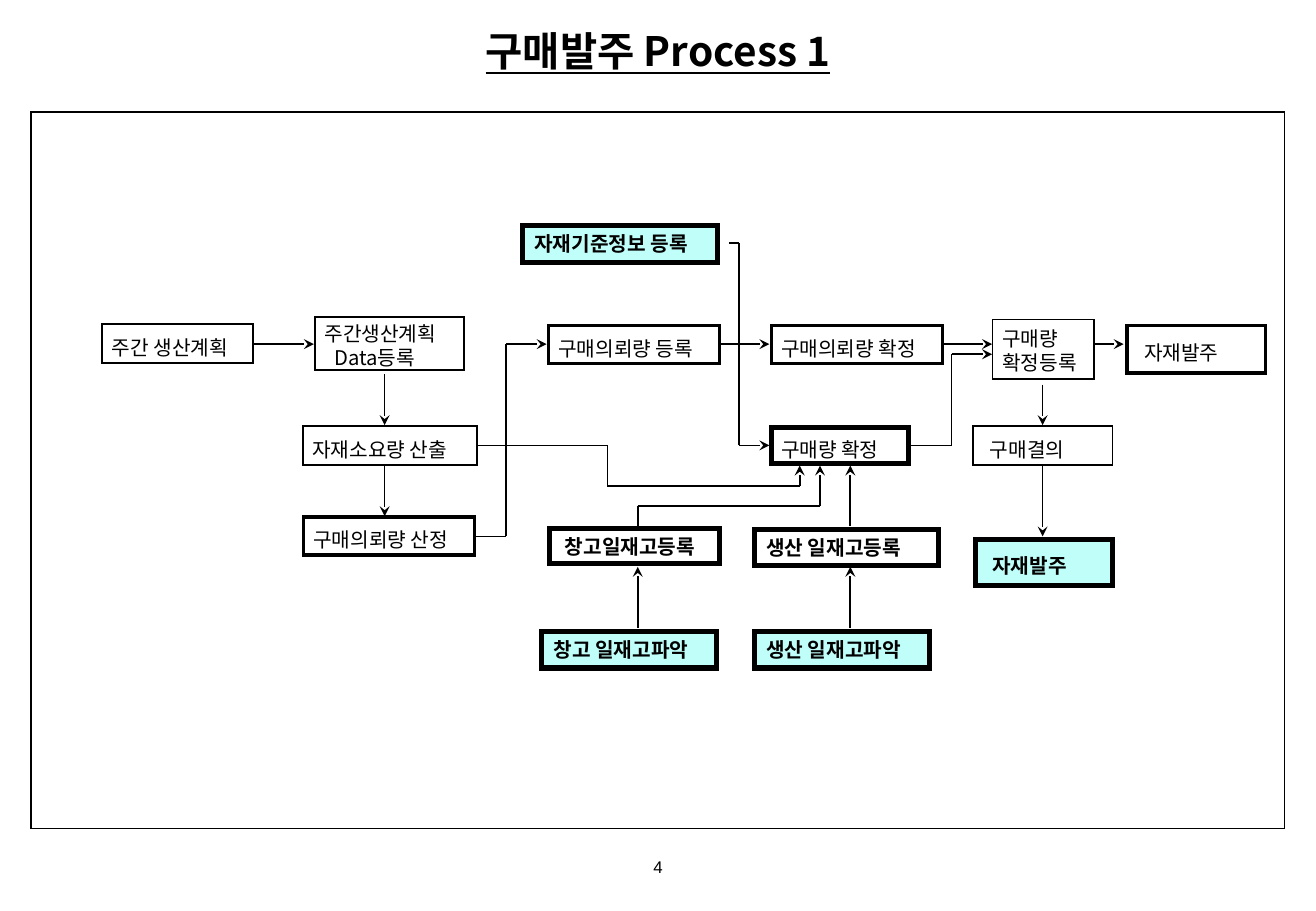
from collections import namedtuple
from itertools import pairwise

from lxml import etree
from pptx import Presentation
from pptx import util as u
from pptx.dml.color import RGBColor
from pptx.enum import shapes, text
from pptx.oxml.ns import qn

COLUMNS, ROWS = 130, 90
KOREAN, LATIN = "Noto Sans CJK KR", "Arial"
BLACK, WHITE, AQUA = "000000", "FFFFFF", "C0FEF9"
PLAIN, BOLD = (0.08, 0.06), (0.1, 0)
INDENTED, BOLD_INDENTED = (0.14, 0.06), (0.14, 0.04)

Box = namedtuple("Box", "left top width height")
Step = namedtuple("Step", "label cells line_width fill bold insets")

STEPS = [
    Step("주간 생산계획", (10.1, 32, 14.9, 3.85), 1, WHITE, False, PLAIN),
    Step("주간생산계획\nData등록", (31.1, 31.3, 14.75, 5.25), 1, WHITE, False, (0.08, 0.03)),
    Step("자재소요량 산출", (29.9, 42.1, 17.2, 3.85), 1, WHITE, False, PLAIN),
    Step("구매의뢰량 산정", (30, 51.1, 16.9, 3.75), 2, WHITE, False, PLAIN),
    Step("구매의뢰량 등록", (54.2, 32.15, 16.9, 3.75), 2, WHITE, False, PLAIN),
    Step("구매의뢰량 확정", (76.2, 32.15, 16.9, 3.75), 2, WHITE, False, PLAIN),
    Step("구매량\n확정등록", (98.05, 31.55, 10, 5.9), 1, WHITE, False, (0.08, 0.02)),
    Step("구매량 확정", (76.2, 42.25, 13.55, 3.5), 3, WHITE, False, PLAIN),
    Step("창고일재고등록", (54.25, 52.2, 16.8, 3.5), 3, WHITE, True, (0.13, 0)),
    Step("창고 일재고파악", (53.5, 62.4, 17.3, 3.6), 3, AQUA, True, BOLD),
    Step("생산 일재고등록", (74.5, 52.3, 18.25, 3.6), 3, WHITE, True, BOLD),
    Step("생산 일재고파악", (74.5, 62.4, 17.3, 3.6), 3, AQUA, True, BOLD),
    Step("구매결의", (96.1, 42.1, 13.8, 3.85), 1, WHITE, False, INDENTED),
    Step("자재발주", (96.35, 53.3, 13.55, 4.55), 3, AQUA, True, BOLD_INDENTED),
    Step("자재기준정보 등록", (51.6, 22.3, 19.3, 3.6), 3, AQUA, True, BOLD),
    Step("자재발주", (111.35, 32.15, 13.7, 4.7), 2, WHITE, False, INDENTED),
]

ROUTES = [
    [(25, 34), (31, 34)],
    [(38, 37), (38, 42)],
    [(38, 46), (38, 51)],
    [(47, 53), (50, 53), (50, 34), (54, 34)],
    [(71, 34), (76, 34)],
    [(93, 34), (98, 34)],
    [(103, 38), (103, 42)],
    [(103, 46), (103, 53)],
    [(63, 62), (63, 56)],
    [(84, 62), (84, 56)],
    [(84, 52), (84, 46)],
    [(63, 52), (63, 50), (81, 50), (81, 46)],
    [(72, 24), (73, 24), (73, 44), (76, 44)],
    [(90, 44), (94, 44), (94, 35), (98, 35)],
    [(47, 44), (60, 44), (60, 48), (79, 48), (79, 46)],
    [(108, 34), (111, 34)],
]


def color(value):
    """Turn a hex string into a colour."""
    return RGBColor.from_string(value)


def place(box, left, top, width=0, height=0):
    """Turn grid cells inside a box into slide lengths."""
    column, row = box.width / COLUMNS, box.height / ROWS
    return Box(int(box.left + left * column), int(box.top + top * row),
               int(width * column), int(height * row))


def add_run(paragraph, words, size, font=KOREAN, bold=False, underline=False):
    """Add one formatted run for Latin and Korean letters."""
    run = paragraph.add_run()
    run.text = words
    run.font.size, run.font.name = u.Pt(size), font
    run.font.bold, run.font.underline = bold, underline
    run.font.color.rgb = color(BLACK)
    etree.SubElement(run._r.get_or_add_rPr(), qn("a:ea")).set("typeface", font)


def set_frame(frame, left=0, top=0):
    """Anchor wrapped text in the middle with the given insets in inches."""
    frame.word_wrap, frame.auto_size = True, text.MSO_AUTO_SIZE.NONE
    frame.vertical_anchor = text.MSO_ANCHOR.MIDDLE
    frame.margin_left, frame.margin_top = u.Inches(left), u.Inches(top)
    frame.margin_right = frame.margin_bottom = 0


def add_block(slide, box, fill, line_width):
    """Add a filled rectangle with a black outline and square corners."""
    shape = slide.shapes.add_shape(shapes.MSO_SHAPE.RECTANGLE, *box)
    shape.shadow.inherit = False
    shape.fill.solid()
    shape.fill.fore_color.rgb = color(fill)
    shape.line.color.rgb = color(BLACK)
    shape.line.width = u.Pt(line_width)
    etree.SubElement(shape.line._get_or_add_ln(), qn("a:miter")).set("lim", "800000")
    return shape


def add_step(slide, box, step):
    """Add one process step with its label."""
    frame = add_block(slide, box, step.fill, step.line_width).text_frame
    set_frame(frame, *step.insets)
    for index, words in enumerate(step.label.split("\n")):
        paragraph = frame.add_paragraph() if index else frame.paragraphs[0]
        paragraph.alignment = text.PP_ALIGN.LEFT
        if words.startswith("Data"):
            paragraph._p.get_or_add_pPr().set("marL", str(u.Inches(0.08)))
        add_run(paragraph, words, 12, bold=step.bold)


def add_route(slide, box, points):
    """Join grid points with straight lines, ending in an arrowhead."""
    for start, end in pairwise(points):
        first, last = place(box, *start), place(box, *end)
        connector = slide.shapes.add_connector(
            shapes.MSO_CONNECTOR.STRAIGHT, first.left, first.top, last.left, last.top)
        connector.line.color.rgb = color(BLACK)
        connector.line.width = u.Pt(1)
        if end == points[-1]:
            etree.SubElement(connector.line._get_or_add_ln(), qn("a:tailEnd")).set("type", "stealth")
        etree.SubElement(connector._element.spPr, qn("a:effectLst"))


def add_title(slide, box):
    """Move and format the title placeholder."""
    title = slide.shapes.title
    title.left, title.top, title.width, title.height = place(box, 0, 2, COLUMNS, 6)
    set_frame(title.text_frame)
    paragraph = title.text_frame.paragraphs[0]
    paragraph.alignment = text.PP_ALIGN.CENTER
    add_run(paragraph, "구매발주 Process 1", 24, bold=True, underline=True)


def add_flow(slide, box):
    """Draw the frame, the process steps and the routes between them."""
    add_block(slide, place(box, 3.1, 11.05, 123.8, 70.8), WHITE, 1)
    for step in STEPS:
        add_step(slide, place(box, *step.cells), step)
    for points in ROUTES:
        add_route(slide, box, points)


def add_page_number(slide, box):
    """Add the centred page number."""
    frame = slide.shapes.add_textbox(*place(box, 54, 83.6, 22, 4)).text_frame
    set_frame(frame)
    paragraph = frame.paragraphs[0]
    paragraph.alignment = text.PP_ALIGN.CENTER
    add_run(paragraph, "4", 10, LATIN)


def main():
    """Build and save the purchase order process slide."""
    presentation = Presentation()
    presentation.slide_width = u.Inches(COLUMNS / 12)
    presentation.slide_height = u.Inches(ROWS / 12)
    slide = presentation.slides.add_slide(presentation.slide_layouts[5])
    page = Box(0, 0, presentation.slide_width, presentation.slide_height)
    add_flow(slide, page)
    add_title(slide, page)
    add_page_number(slide, page)
    presentation.save("out.pptx")


main()
